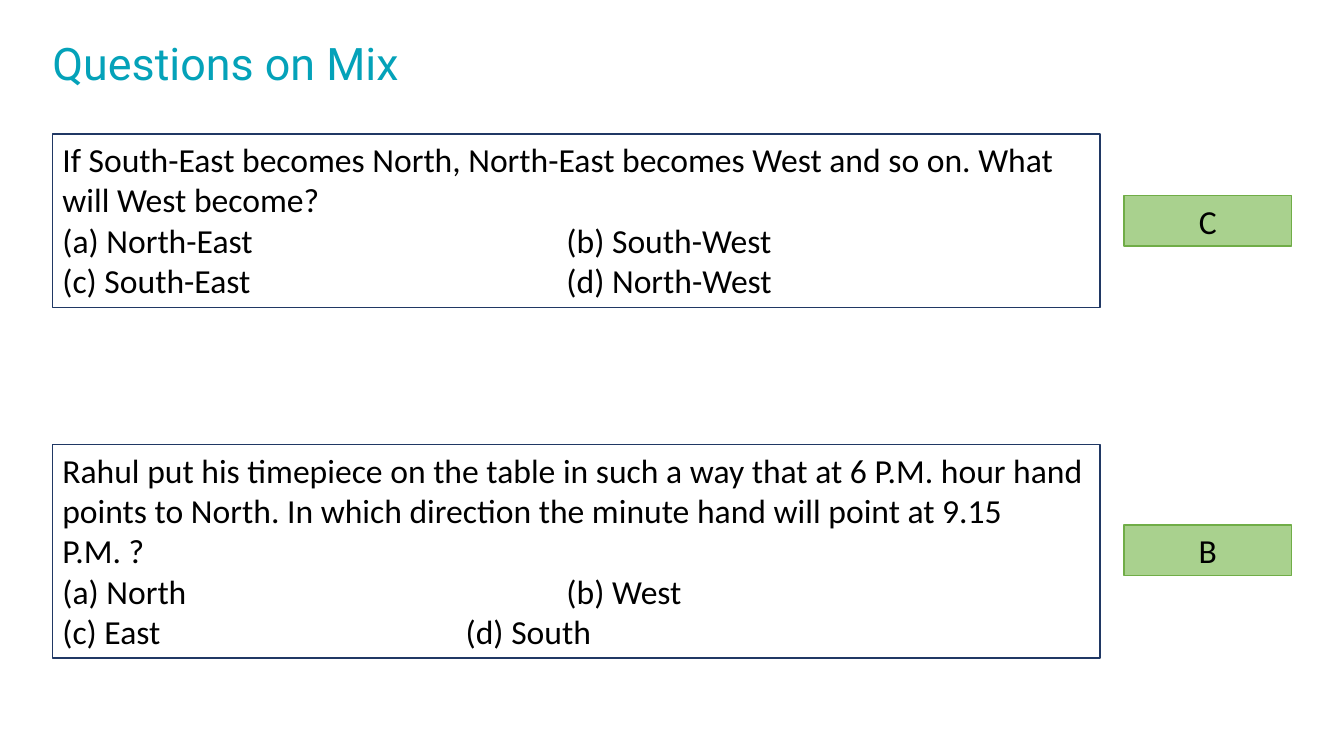
from dataclasses import dataclass

from lxml import etree
from pptx import Presentation
from pptx.dml.color import RGBColor as RGB
from pptx.enum.shapes import MSO_SHAPE as SHAPE
from pptx.enum.text import MSO_ANCHOR as ANCHOR, MSO_AUTO_SIZE as AUTO, PP_ALIGN as ALIGN
from pptx.oxml.ns import qn
from pptx.util import Inches, Pt


@dataclass(frozen=True)
class Theme:
    title_font: str = "Roboto"
    body_font: str = "Calibri"
    title_size: int = 32
    body_size: int = 24
    title: str = "04A2B9"
    text: str = "000000"
    box_fill: str = "FFFFFF"
    box_line: str = "203864"
    answer_fill: str = "A9D18E"
    answer_line: str = "70AD47"


class QuizSlide:
    def __init__(self, prs, theme):
        self.theme = theme
        self.slide = prs.slides.add_slide(prs.slide_layouts[5])

    def style(self, p, font, size, color, align=ALIGN.LEFT):
        p.alignment = align
        for r in p.runs:
            r.font.name = font
            r.font.size = Pt(size)
            r.font.color.rgb = RGB.from_string(color)

    def title(self, text, left, top, width, height):
        t, s = self.theme, self.slide.shapes.title
        s.left, s.top, s.width, s.height = map(Inches, (left, top, width, height))
        tf = s.text_frame
        tf.text = text
        tf.auto_size = AUTO.SHAPE_TO_FIT_TEXT
        tf.vertical_anchor = ANCHOR.MIDDLE
        tf.margin_left = tf.margin_right = tf.margin_bottom = 0
        tf.margin_top = Inches(0.01)
        self.style(tf.paragraphs[0], t.title_font, t.title_size, t.title)

    def box(self, left, top, width, height, fill, line):
        sp = self.slide.shapes.add_shape(
            SHAPE.RECTANGLE, *map(Inches, (left, top, width, height)))
        sp.shadow.inherit = False
        sp.fill.solid()
        sp.fill.fore_color.rgb = RGB.from_string(fill)
        sp.line.color.rgb = RGB.from_string(line)
        sp.line.width = Pt(1)
        tf = sp.text_frame
        tf.word_wrap = True
        tf.auto_size = AUTO.SHAPE_TO_FIT_TEXT
        tf.vertical_anchor = ANCHOR.TOP
        return tf

    def tab_stop(self, p, position):
        tabs = etree.SubElement(p._p.get_or_add_pPr(), qn("a:tabLst"))
        etree.SubElement(tabs, qn("a:tab"), pos=str(Inches(position)), algn="l")

    def question(self, text, option_rows, top, height):
        t = self.theme
        tf = self.box(0.52, top, 10.39, height, t.box_fill, t.box_line)
        tf.text = text
        for first, second, stop in option_rows:
            p = tf.add_paragraph()
            p.text = f"{first}\t{second}"
            self.tab_stop(p, stop)
        for p in tf.paragraphs:
            self.style(p, t.body_font, t.body_size, t.text)

    def answer(self, letter, top):
        t = self.theme
        tf = self.box(11.15, top, 1.66, 0.5, t.answer_fill, t.answer_line)
        tf.text = letter
        self.style(tf.paragraphs[0], t.body_font, t.body_size, t.text, ALIGN.CENTER)


# Each question: text, option rows with tab stop, box top and height, answer and its top
QUESTIONS = [
    ("If South-East becomes North, North-East becomes West and so on. "
     "What will West become?",
     [("(a) North-East", "(b) South-West", 5), ("(c) South-East", "(d) North-West", 5)],
     1.33, 1.72, "C", 1.94),
    ("Rahul put his timepiece on the table in such a way that at 6 P.M. hour hand "
     "points to North. In which direction the minute hand will point at 9.15 P.M. ?",
     [("(a) North", "(b) West", 5), ("(c) East", "(d) South", 4)],
     4.41, 2.12, "B", 5.21),
]


def main():
    prs = Presentation()
    prs.slide_width, prs.slide_height = Inches(13.33), Inches(7.5)
    quiz = QuizSlide(prs, Theme())

    # Heading
    quiz.title("Questions on Mix", 0.52, 0.34, 5.59, 0.55)

    # Questions with their answers
    for text, option_rows, top, height, letter, answer_top in QUESTIONS:
        quiz.question(text, option_rows, top, height)
        quiz.answer(letter, answer_top)

    prs.save("out.pptx")


if __name__ == "__main__":
    main()
